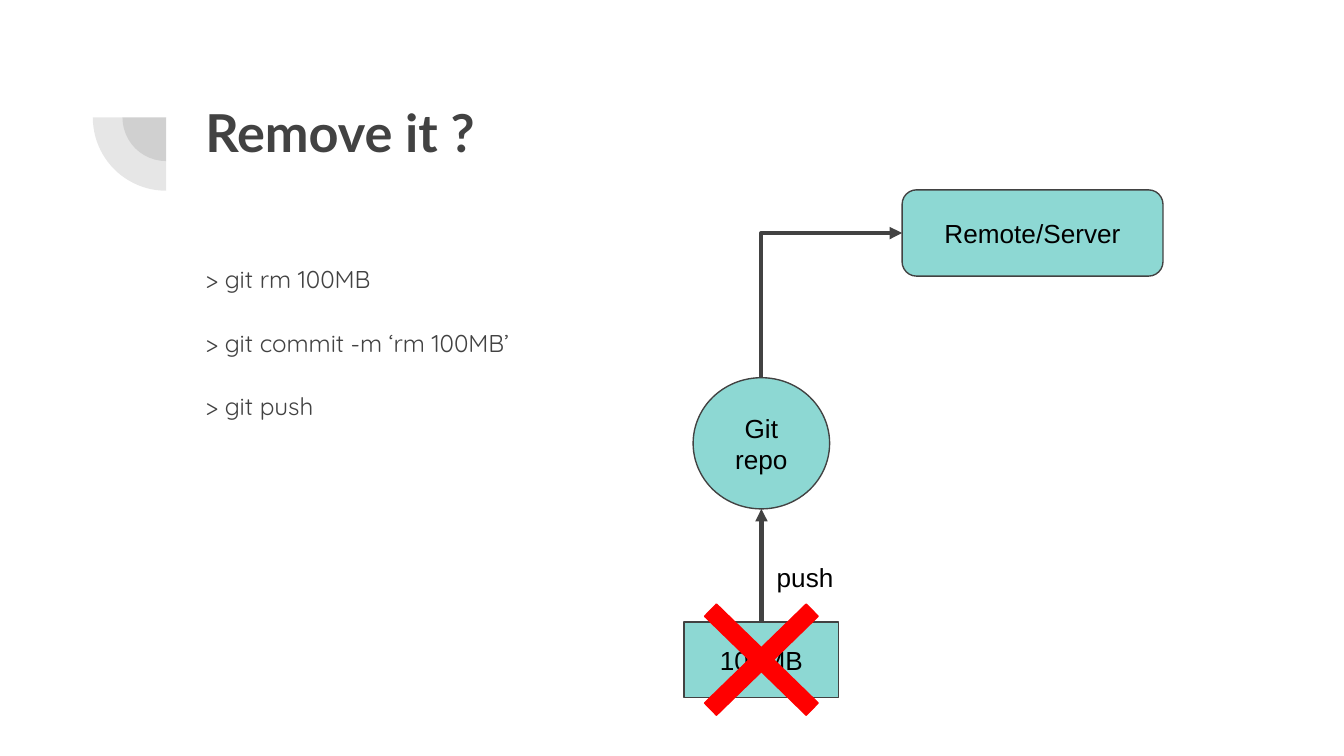
from dataclasses import dataclass
from typing import Any

from lxml import etree
from pptx import Presentation
from pptx.dml.color import RGBColor
from pptx.enum.shapes import MSO_CONNECTOR, MSO_SHAPE
from pptx.enum.text import MSO_ANCHOR, MSO_AUTO_SIZE, PP_ALIGN
from pptx.oxml.ns import qn
from pptx.util import Cm, Pt

RECT = MSO_SHAPE.RECTANGLE
OVAL = MSO_SHAPE.OVAL
ROUND = MSO_SHAPE.ROUNDED_RECTANGLE
CROSS = MSO_SHAPE.MATH_MULTIPLY
PIE = MSO_SHAPE.PIE
STRAIGHT = MSO_CONNECTOR.STRAIGHT
ELBOW = MSO_CONNECTOR.ELBOW
TOP = MSO_ANCHOR.TOP
MIDDLE = MSO_ANCHOR.MIDDLE
LEFT = PP_ALIGN.LEFT
CENTER = PP_ALIGN.CENTER
FIXED = MSO_AUTO_SIZE.NONE


@dataclass(frozen=True)
class Type:
    font: str
    size: float
    color: str
    bold: bool = False


@dataclass(frozen=True)
class Theme:
    dark: str = "424242"
    teal: str = "8DD8D3"
    red: str = "FF0000"
    title: Type = Type("Lato", 28, "424242", True)
    body: Type = Type("Quicksand", 13, "424242")
    label: Type = Type("Arial", 14, "000000")
    thin: float = 0.75
    thick: float = 2.25
    pad: float = 0.25


@dataclass(frozen=True)
class Box:
    x: float
    y: float
    w: float
    h: float

    @property
    def mid(self) -> float:
        return self.x + self.w / 2


@dataclass(frozen=True)
class Node:
    kind: Any
    box: Box
    lines: tuple[str, ...]


THEME = Theme()
FILE = Node(RECT, Box(12.93, 11.76, 2.92, 1.43), ("100MB",))
REPO = Node(OVAL, Box(13.1, 7.14, 2.58, 2.48), ("Git", "repo"))
HOST = Node(ROUND, Box(17.05, 3.59, 4.93, 1.63), ("Remote/Server",))
STEPS = ("> git rm 100MB", "> git commit -m ‘rm 100MB’", "> git push")


def rgb(color: str) -> RGBColor:
    return RGBColor.from_string(color)


def place(shape: Any, box: Box) -> None:
    shape.left, shape.top = Cm(box.x), Cm(box.y)
    shape.width, shape.height = Cm(box.w), Cm(box.h)


def write(shape: Any, lines: tuple[str, ...], style: Type,
          align: Any = LEFT, anchor: Any = TOP) -> list[Any]:
    frame = shape.text_frame
    frame.word_wrap = True
    frame.auto_size = FIXED
    frame.vertical_anchor = anchor
    frame.margin_left = frame.margin_right = Cm(THEME.pad)
    frame.margin_top = frame.margin_bottom = Cm(THEME.pad)
    paras = []
    for i, line in enumerate(lines):
        para = frame.add_paragraph() if i else frame.paragraphs[0]
        para.alignment = align
        run = para.add_run()
        run.text = line
        run.font.name = style.font
        run.font.size = Pt(style.size)
        run.font.bold = style.bold
        run.font.color.rgb = rgb(style.color)
        paras.append(para)
    return paras


def draw_shape(slide: Any, kind: Any, box: Box, fill: str, line: str) -> Any:
    shape = slide.shapes.add_shape(kind, Cm(box.x), Cm(box.y), Cm(box.w), Cm(box.h))
    shape.shadow.inherit = False
    shape.fill.solid()
    shape.fill.fore_color.rgb = rgb(fill)
    shape.line.color.rgb = rgb(line)
    shape.line.width = Pt(THEME.thin)
    return shape


def draw_node(slide: Any, node: Node) -> Any:
    shape = draw_shape(slide, node.kind, node.box, THEME.teal, THEME.dark)
    write(shape, node.lines, THEME.label, CENTER, MIDDLE)
    return shape


def draw_pie(slide: Any, x: float, y: float, size: float) -> None:
    box = Box(x - size / 2, y - size / 2, size, size)
    pie = draw_shape(slide, PIE, box, THEME.dark, THEME.dark)
    pie.line.fill.background()
    pie.adjustments[0], pie.adjustments[1] = 108, 162
    pie.rotation = 270
    tint = pie.fill._xPr.find(qn("a:solidFill"))[0]
    etree.SubElement(tint, qn("a:alpha"), val="13000")


def draw_arrow(slide: Any, kind: Any, x1: float, y1: float,
               x2: float, y2: float) -> Any:
    arrow = slide.shapes.add_connector(kind, Cm(x1), Cm(y1), Cm(x2), Cm(y2))
    arrow.line.color.rgb = rgb(THEME.dark)
    arrow.line.width = Pt(THEME.thick)
    props = arrow._element.spPr
    etree.SubElement(props.find(qn("a:ln")), qn("a:tailEnd"), type="triangle")
    etree.SubElement(props, qn("a:effectLst"))
    return arrow


def draw_bend(slide: Any, x1: float, y1: float, x2: float, y2: float) -> None:
    x, y = (x1 + x2) / 2, (y1 + y2) / 2
    w, h = y1 - y2, x2 - x1
    bend = draw_arrow(slide, ELBOW, x - w / 2, y - h / 2, x + w / 2, y + h / 2)
    props = bend._element.spPr
    props.find(qn("a:xfrm")).set("rot", "16200000")
    props.find(qn("a:prstGeom")).set("prst", "bentConnector2")


def fill_body(body: Any) -> None:
    place(body, Box(3.63, 4.67, 9.07, 3.71))
    paras = write(body, STEPS, THEME.body)
    for i, para in enumerate(paras):
        para.line_spacing = 1.15
        para.space_before = Pt(16 if i else 0)
        para.space_after = Pt(0)
        props = para._p.get_or_add_pPr()
        props.set("marL", "0")
        props.set("indent", "0")
        etree.SubElement(props, qn("a:buNone"))
    paras[-1].space_after = Pt(16)


def main() -> None:
    deck = Presentation()
    deck.slide_width, deck.slide_height = Cm(25.4), Cm(14.29)
    slide = deck.slides.add_slide(deck.slide_layouts[1])

    title, body = slide.placeholders
    place(title, Box(3.63, 1.65, 19.53, 1.93))
    write(title, ("Remove it ?",), THEME.title)
    fill_body(body)
    for size in (1.65, 2.77):
        draw_pie(slide, 3.14, 2.22, size)

    file = draw_node(slide, FILE)
    draw_node(slide, REPO)
    draw_node(slide, HOST)

    repo, host = REPO.box, HOST.box
    push = draw_arrow(slide, STRAIGHT, FILE.box.mid, FILE.box.y,
                      repo.mid, repo.y + repo.h)
    push.begin_connect(file, 0)
    draw_bend(slide, repo.mid, repo.y, host.x, host.y + host.h / 2)

    label = slide.shapes.add_textbox(Cm(14.43), Cm(10.36), Cm(1.65), Cm(0.74))
    write(label, ("push",), THEME.label)

    cross = draw_shape(slide, CROSS, Box(12.54, 10.67, 3.7, 3.6), THEME.red, THEME.red)
    cross.adjustments[0] = 0.09

    deck.save("out.pptx")


if __name__ == "__main__":
    main()
